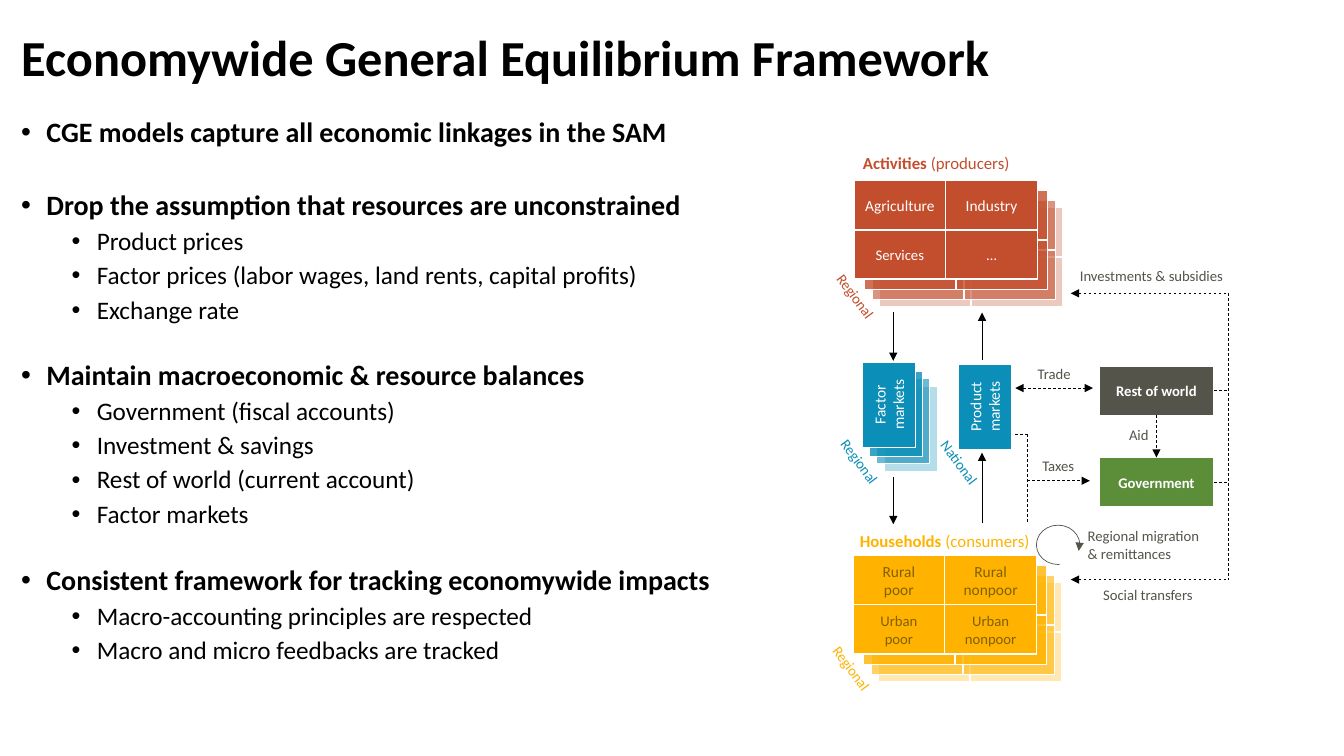
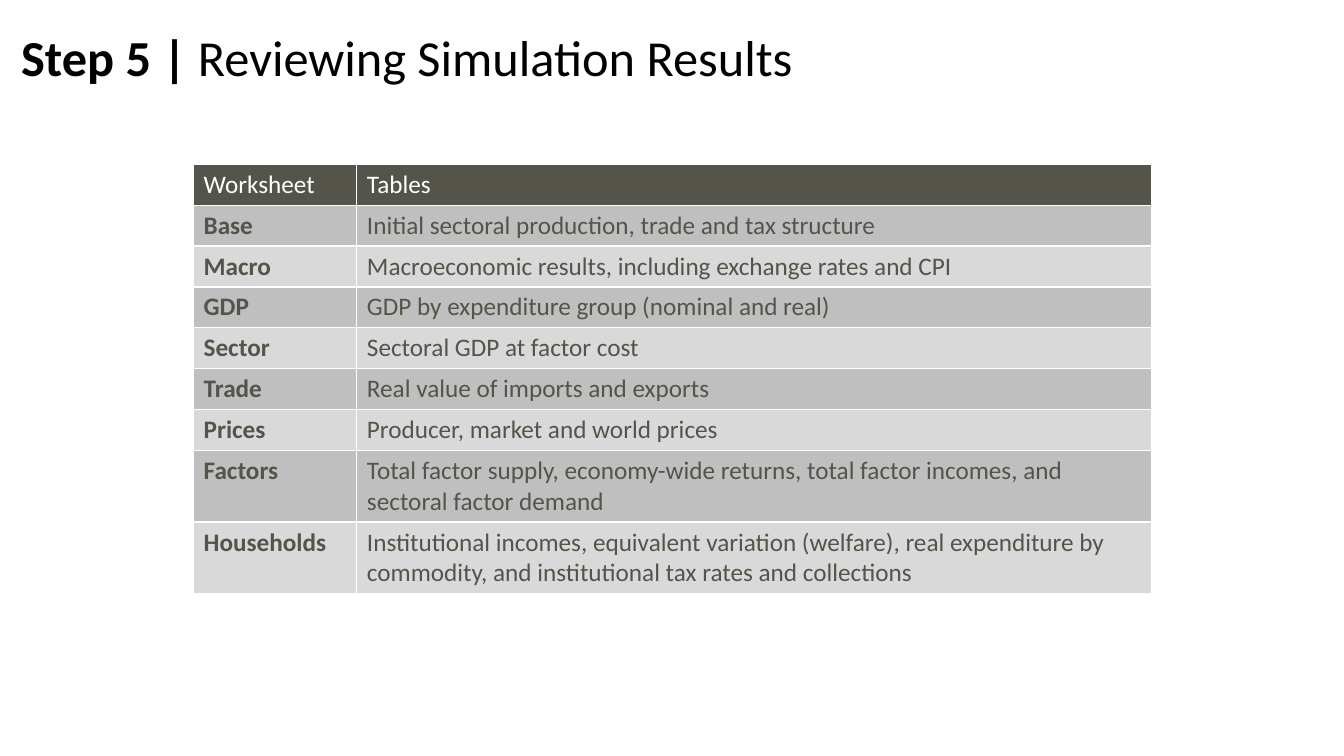
"""Build two slides on an economywide equilibrium model and its result tables."""
from dataclasses import dataclass

from lxml import etree
from pptx import Presentation
from pptx.dml.color import RGBColor
from pptx.enum.dml import MSO_LINE
from pptx.enum.shapes import MSO_CONNECTOR, MSO_SHAPE
from pptx.enum.text import MSO_ANCHOR, MSO_AUTO_SIZE, PP_ALIGN
from pptx.oxml.ns import qn
from pptx.util import Inches, Pt

LEFT, CENTER = PP_ALIGN.LEFT, PP_ALIGN.CENTER
TOP, MIDDLE = MSO_ANCHOR.TOP, MSO_ANCHOR.MIDDLE
RECTANGLE, ARC = MSO_SHAPE.RECTANGLE, MSO_SHAPE.ARC
STRAIGHT, DASH, NO_FIT = MSO_CONNECTOR.STRAIGHT, MSO_LINE.DASH, MSO_AUTO_SIZE.NONE
SIDE_TOP, SIDE_BOTTOM, SIDE_RIGHT = 0, 2, 3
TITLE_AND_BODY, TITLE_ONLY = 1, 5


@dataclass(frozen=True)
class Theme:
    """Colours, type sizes and line widths of the deck."""
    font: str = "Calibri"
    black: str = "000000"
    white: str = "FFFFFF"
    gray: str = "54544B"
    activity: str = "C34E2D"
    market: str = "0B8EB8"
    household: str = "FFB300"
    household_text: str = "806000"
    government: str = "5C8E3A"
    bands: tuple = ("BFBFBF", "D9D9D9")
    title: float = 36
    heading: float = 20
    item: float = 18
    caption: float = 12
    cell: float = 11
    label: float = 10.5
    edge: float = 1
    arrow: float = 0.5


THEME = Theme()
GRID_LAYERS = ((0.25, 0.27, 30), (0.18, 0.2, 60), (0.1, 0.1, 80), (0, 0, 100))
MARKET_LAYERS = ((0.22, 0.24, 30), (0.14, 0.16, 60), (0.07, 0.09, 80), (0, 0, 100))
CELL_WIDTH, CELL_HEIGHT = 0.91, 0.49

POINTS = (
    (0, "CGE models capture all economic linkages in the SAM", ()),
    (31, "Drop the assumption that resources are unconstrained", (
        "Product prices",
        "Factor prices (labor wages, land rents, capital profits)",
        "Exchange rate")),
    (26.5, "Maintain macroeconomic & resource balances", (
        "Government (fiscal accounts)", "Investment & savings",
        "Rest of world (current account)", "Factor markets")),
    (27, "Consistent framework for tracking economywide impacts", (
        "Macro-accounting principles are respected",
        "Macro and micro feedbacks are tracked")),
)
WORKSHEETS = (
    ("Worksheet", "Tables"),
    ("Base", "Initial sectoral production, trade and tax structure"),
    ("Macro", "Macroeconomic results, including exchange rates and CPI"),
    ("GDP", "GDP by expenditure group (nominal and real)"),
    ("Sector", "Sectoral GDP at factor cost"),
    ("Trade", "Real value of imports and exports"),
    ("Prices", "Producer, market and world prices"),
    ("Factors", "Total factor supply, economy-wide returns, total factor incomes, "
                "and sectoral factor demand"),
    ("Households", "Institutional incomes, equivalent variation (welfare), real expenditure "
                   "by commodity, and institutional tax rates and collections"),
)


def inches(*lengths):
    """Turn numbers into lengths."""
    return [Inches(length) for length in lengths]


def apply(target, values):
    """Set each attribute in a dict of format values."""
    for name, value in values.items():
        setattr(target, name, value)


class Builder:
    """Holds the theme and the current page, and draws each kind of element."""

    def __init__(self, theme):
        """Open an empty wide deck."""
        self.theme = theme
        self.deck = Presentation()
        apply(self.deck, {"slide_width": Inches(13.33), "slide_height": Inches(7.5)})
        self.page = None

    def add_page(self, layout, *title):
        """Start a page with its title spans."""
        self.page = self.deck.slides.add_slide(self.deck.slide_layouts[layout])
        shape = self.page.shapes.title
        self.place(shape, 0.11, 0.14, 13.06, 0.91)
        apply(shape.text_frame, {"vertical_anchor": MIDDLE, "auto_size": NO_FIT})
        para = shape.text_frame.paragraphs[0]
        apply(para, {"alignment": LEFT, "line_spacing": 0.9})
        self.spans(para, title, self.theme.title, self.theme.black)

    def place(self, shape, left, top, width, height):
        """Move and size a shape."""
        names = ("left", "top", "width", "height")
        apply(shape, dict(zip(names, inches(left, top, width, height))))

    def spans(self, para, spans, size, color):
        """Put (text, bold) spans into a paragraph."""
        for text, bold in spans:
            span = para.add_run()
            span.text = text
            apply(span.font, {"name": self.theme.font, "size": Pt(size), "bold": bold})
            span.font.color.rgb = RGBColor.from_string(color)

    def fill_text(self, frame, lines, size, color, align=CENTER, anchor=MIDDLE):
        """Fill a text frame with lines of spans."""
        apply(frame, {"word_wrap": True, "vertical_anchor": anchor})
        for index, line in enumerate(lines):
            para = frame.add_paragraph() if index else frame.paragraphs[0]
            para.alignment = align
            self.spans(para, line, size, color)

    def bullets(self, points):
        """Fill the body placeholder with headings and their items."""
        body = self.page.placeholders[1]
        self.place(body, 0.11, 1.12, 7.31, 6.28)
        body.text_frame.auto_size = NO_FIT
        theme, rows = self.theme, []
        for space, heading, items in points:
            rows.append((0, space, heading, theme.heading))
            rows += [(1, 5, item, theme.item) for item in items]
        for index, (level, space, text, size) in enumerate(rows):
            frame = body.text_frame
            para = frame.add_paragraph() if index else frame.paragraphs[0]
            properties = para._p.get_or_add_pPr()
            properties.set("marL", str(Inches(0.25 + 0.5 * level)))
            properties.set("indent", str(Inches(-0.25)))
            etree.SubElement(properties, qn("a:buChar"), char="•")
            apply(para, {"level": level, "space_before": Pt(space), "line_spacing": 0.9})
            self.spans(para, [(text, level == 0)], size, theme.black)

    def label(self, at, spans, size=None, color=None, align=CENTER, rotation=0):
        """Add a free text label."""
        box = self.page.shapes.add_textbox(*inches(*at))
        box.rotation = rotation
        self.fill_text(box.text_frame, [spans], size or self.theme.label,
                       color or self.theme.gray, align, TOP)

    def slanted(self, left, top, text, color):
        """Add a scope label along the edge of a stack."""
        self.label((left, top, 0.85, 0.28), [(text, False)], color=color, rotation=53.4)

    def box(self, at, fill, opacity=100, rotation=0):
        """Add a white-edged rectangle."""
        shape = self.page.shapes.add_shape(RECTANGLE, *inches(*at))
        shape.shadow.inherit = False
        shape.rotation = rotation
        shape.fill.solid()
        shape.fill.fore_color.rgb = RGBColor.from_string(fill)
        shape.line.color.rgb = RGBColor.from_string(self.theme.white)
        shape.line.width = Pt(self.theme.edge)
        if opacity < 100:
            color = shape.element.spPr.find(qn("a:solidFill") + "/" + qn("a:srgbClr"))
            etree.SubElement(color, qn("a:alpha"), val=str(opacity * 1000))
        return shape

    def text_box(self, at, fill, text, size, color=None, bold=False, rotation=0):
        """Add a rectangle holding centred text."""
        shape = self.box(at, fill, rotation=rotation)
        lines = [[(line, bold)] for line in text.split("\n")]
        self.fill_text(shape.text_frame, lines, size, color or self.theme.white)
        return shape

    def stack(self, left, top, fill, cells, color):
        """Add layered two-by-two grids with text on the front one."""
        for right, down, opacity in GRID_LAYERS:
            for index, (text, size) in enumerate(cells):
                row, column = divmod(index, 2)
                at = (left + right + column * CELL_WIDTH, top + down + row * CELL_HEIGHT,
                      CELL_WIDTH, CELL_HEIGHT)
                if opacity < 100:
                    self.box(at, fill, opacity)
                else:
                    self.text_box(at, fill, text, size, color)

    def market(self, left, top, text, layers):
        """Add an upright market box with its layers."""
        for right, down, opacity in layers:
            at = (left + right, top + down, 0.85, 0.53)
            if opacity < 100:
                self.box(at, self.theme.market, opacity, 270)
            else:
                self.text_box(at, self.theme.market, text, self.theme.cell, rotation=270)

    def arrowheads(self, shape, ends):
        """Add triangle heads to the named line ends."""
        for end in ends:
            etree.SubElement(shape.element.spPr.find(qn("a:ln")), qn("a:" + end), type="triangle")

    def line(self, start, finish, ends=(), dashed=True, begin=None, end=None):
        """Add a straight connector, joined to shapes where given."""
        line = self.page.shapes.add_connector(STRAIGHT, *inches(*start, *finish))
        line.line.color.rgb = RGBColor.from_string(self.theme.black)
        line.line.width = Pt(self.theme.arrow)
        if dashed:
            line.line.dash_style = DASH
        self.arrowheads(line, ends)
        etree.SubElement(line.element.spPr, qn("a:effectLst"))
        if begin:
            line.begin_connect(*begin)
        if end:
            line.end_connect(*end)

    def loop(self, at, angles):
        """Add a curved arrow between two angles in degrees."""
        arc = self.page.shapes.add_shape(ARC, *inches(*at))
        arc.shadow.inherit = False
        arc.rotation = 270
        for index, angle in enumerate(angles):
            arc.adjustments[index] = angle * 0.6
        arc.fill.background()
        arc.line.color.rgb = RGBColor.from_string(self.theme.gray)
        arc.line.width = Pt(self.theme.arrow)
        self.arrowheads(arc, ["tailEnd"])

    def table(self, rows):
        """Add a banded table with a dark header row."""
        theme = self.theme
        frame = self.page.shapes.add_table(len(rows), 2, *inches(1.92, 1.63, 9.5, 4.24))
        table = frame.table
        for column, width in zip(table.columns, (1.62, 7.88)):
            column.width = Inches(width)
        for index, texts in enumerate(rows):
            table.rows[index].height = Inches(0.71 if len(texts[1]) > 80 else 0.4)
            fill = theme.bands[(index - 1) % 2] if index else theme.gray
            color = theme.gray if index else theme.white
            for column, text in enumerate(texts):
                cell = table.cell(index, column)
                cell.fill.solid()
                cell.fill.fore_color.rgb = RGBColor.from_string(fill)
                self.borders(cell)
                bold = index > 0 and column == 0
                self.fill_text(cell.text_frame, [[(text, bold)]], theme.item, color, LEFT, TOP)

    def borders(self, cell):
        """Edge a table cell in white."""
        properties = cell._tc.get_or_add_tcPr()
        for index, side in enumerate(("lnL", "lnR", "lnT", "lnB")):
            line = etree.Element(qn("a:" + side), w=str(Pt(self.theme.edge)))
            fill = etree.SubElement(line, qn("a:solidFill"))
            etree.SubElement(fill, qn("a:srgbClr"), val=self.theme.white)
            properties.insert(index, line)


def draw_framework(builder):
    """Draw the flow between activities, markets and households."""
    theme = builder.theme
    big, small = theme.cell, theme.label
    builder.add_page(TITLE_AND_BODY, ("Economywide General Equilibrium Framework", True))
    builder.bullets(POINTS)
    for left, top, text, color in (
            (8.06, 2.8, "Regional", theme.activity), (8.1, 4.44, "Regional", theme.market),
            (9.09, 4.45, "National", theme.market), (8.02, 6.49, "Regional", theme.household)):
        builder.slanted(left, top, text, color)
    builder.stack(8.47, 1.79, theme.activity, (
        ("Agriculture", big), ("Industry", big), ("Services", small), ("…", small)), theme.white)
    builder.stack(8.46, 5.51, theme.household, (
        ("Rural\npoor", big), ("Rural\nnonpoor", big),
        ("Urban\npoor", small), ("Urban\nnonpoor", small)), theme.household_text)
    builder.market(8.39, 3.75, "Factor markets", MARKET_LAYERS)
    builder.market(9.34, 3.77, "Product markets", MARKET_LAYERS[-1:])
    world = builder.text_box((10.9, 3.63, 1.14, 0.49), theme.gray, "Rest of world", small, bold=True)
    government = builder.text_box((10.9, 4.54, 1.14, 0.49), theme.government, "Government",
                                  small, bold=True)
    for at, name, role, color in (
            ((8.46, 1.47, 1.85, 0.3), "Activities", " (producers)", theme.activity),
            ((8.43, 5.22, 1.98, 0.3), "Households", " (consumers)", theme.household)):
        builder.label(at, [(name, True), (role, False)], theme.caption, color, LEFT)
    for at, text, align in (
            ((10, 3.57, 0.91, 0.28), "Trade", CENTER), ((10.04, 4.48, 0.91, 0.28), "Taxes", CENTER),
            ((11.1, 4.18, 0.57, 0.28), "Aid", LEFT),
            ((10.69, 5.18, 1.33, 0.45), "Regional migration & remittances", LEFT),
            ((10.59, 2.6, 1.66, 0.28), "Investments & subsidies", CENTER),
            ((10.59, 5.76, 1.59, 0.28), "Social transfers", CENTER)):
        builder.label(at, [(text, False)], align=align)
    for x, start, finish in ((8.86, 3.1, 3.58), (8.86, 4.73, 5.2), (9.74, 3.57, 3.1), (9.74, 5.19, 4.49)):
        builder.line((x, start), (x, finish), ["tailEnd"], dashed=False)
    for start, finish, ends in (
            ((10.07, 3.85), (10.84, 3.85), ["headEnd", "tailEnd"]),
            ((10.19, 4.31), (10.19, 5.19), []), ((10.07, 4.31), (10.19, 4.31), []),
            ((10.19, 4.77), (10.81, 4.77), ["tailEnd"]), ((12.18, 2.91), (12.18, 5.75), []),
            ((10.62, 2.91), (12.18, 2.91), ["headEnd"]), ((10.62, 5.75), (12.18, 5.75), ["headEnd"])):
        builder.line(start, finish, ends)
    builder.line((11.47, 4.12), (11.47, 4.54), ["tailEnd"],
                 begin=(world, SIDE_BOTTOM), end=(government, SIDE_TOP))
    for shape in (world, government):
        middle = (shape.top + shape.height / 2) / Inches(1)
        builder.line((12.04, middle), (12.18, middle), begin=(shape, SIDE_RIGHT))
    builder.loop((10.3, 5.19, 0.39, 0.43), (175.87, 106.5))


def main():
    """Build and save the deck."""
    builder = Builder(THEME)
    draw_framework(builder)
    builder.add_page(TITLE_ONLY, ("Step 5 |", True), (" Reviewing Simulation Results", False))
    builder.table(WORKSHEETS)
    builder.deck.save("out.pptx")


if __name__ == "__main__":
    main()
